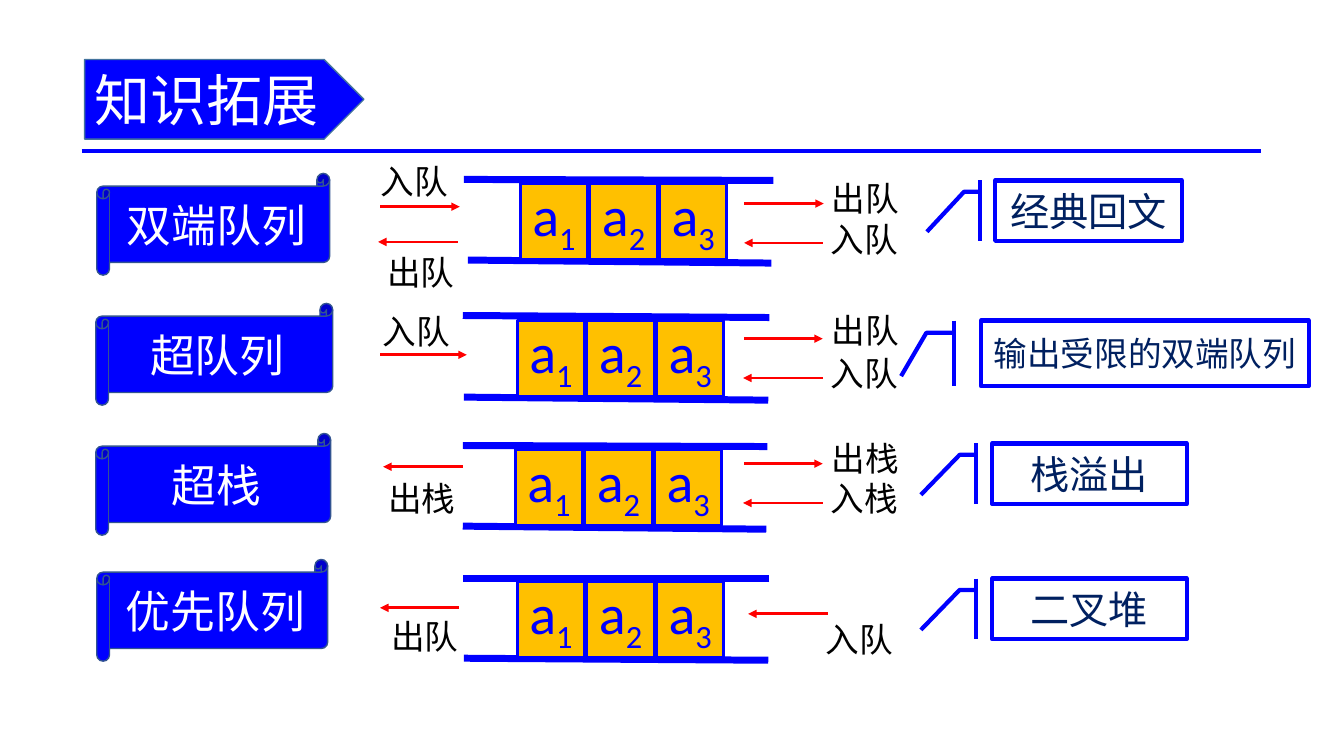
from pptx import Presentation
from pptx import util as u
from pptx.dml.color import RGBColor
from pptx.enum import shapes, text
from pptx.oxml.ns import qn
from lxml import etree

PX = 9144
BLUE = RGBColor(0x00, 0x00, 0xFF)
NAVY = RGBColor(0x00, 0x20, 0x60)
TITLE_EDGE = RGBColor(0x43, 0x73, 0x9E)
SCROLL_EDGE = RGBColor(0x32, 0x54, 0x91)
AMBER = RGBColor(0xFF, 0xC0, 0x00)
RED = RGBColor(0xFF, 0x00, 0x00)
BLACK = RGBColor(0x00, 0x00, 0x00)
WHITE = RGBColor(0xFF, 0xFF, 0xFF)
CJK = "Noto Sans CJK SC"
LATIN = "Calibri"

TITLE = "知识拓展"
CELLS = ["1", "2", "3"]
CELL_WIDTH, CELL_HEIGHT, CELL_STEP = 67, 75, 69
LABEL_WIDTH, LABEL_HEIGHT = 119, 50

# Arrows run from the first x to the second x at height y.
ROWS = [
    {
        "name": "双端队列", "scroll": (96, 172, 231, 101),
        "bars": [(767, 179, 460, 178), (765, 261, 464, 258)], "cells": (516, 182),
        "arrows": [(377, 456, 205), (454, 375, 240), (738, 817, 202), (816, 738, 241)],
        "labels": [("入队", 368, 155), ("出队", 374, 245), ("出队", 815, 172), ("入队", 814, 212)],
        "note": "经典回文", "callout": (987, 179, 185, 60), "note_size": 28, "reach": -0.366,
    },
    {
        "name": "超队列", "scroll": (95, 301, 235, 101),
        "bars": [(763, 315, 459, 313), (762, 397, 460, 394)], "cells": (513, 318),
        "arrows": [(377, 463, 352), (738, 816, 336), (816, 737, 375)],
        "labels": [("入队", 370, 304), ("出队", 815, 303), ("入队", 814, 345)],
        "note": "输出受限的双端队列", "callout": (973, 318, 325, 65), "note_size": 24, "reach": -0.244,
    },
    {
        "name": "超栈", "scroll": (95, 430, 233, 101),
        "bars": [(761, 443, 459, 442), (760, 525, 459, 522)], "cells": (511, 446),
        "arrows": [(459, 380, 463), (738, 816, 460), (816, 737, 499)],
        "labels": [("出栈", 375, 469), ("出栈", 815, 430), ("入栈", 814, 469)],
        "note": "栈溢出", "callout": (984, 440, 193, 60), "note_size": 28, "reach": -0.366,
    },
    {
        "name": "优先队列", "scroll": (96, 555, 229, 101),
        "bars": [(763, 574, 459, 574), (762, 655, 460, 653)], "cells": (513, 577),
        "arrows": [(455, 377, 603), (821, 742, 609)],
        "labels": [("出队", 378, 606), ("入队", 809, 609)],
        "note": "二叉堆", "callout": (984, 574, 193, 60), "note_size": 28, "reach": -0.366,
    },
]


def scaled(*lengths):
    return [length * PX for length in lengths]


def write(shape, words, size, color, font=CJK, align=text.PP_ALIGN.CENTER, wrap=True, subscript=""):
    shape.text_frame.word_wrap = wrap
    paragraph = shape.text_frame.paragraphs[0]
    paragraph.alignment = align
    for part in filter(None, (words, subscript)):
        run = paragraph.add_run()
        run.text = part
        run.font.size = u.Pt(size)
        run.font.color.rgb = color
        run.font.name = font
        properties = run.font._element
        etree.SubElement(properties, qn("a:ea")).set("typeface", font)
        if part == subscript:
            properties.set("baseline", "-25000")


def add_box(parent, kind, place, fill, edge, width):
    shape = parent.add_shape(kind, *scaled(*place))
    shape.shadow.inherit = False
    shape.fill.solid()
    shape.fill.fore_color.rgb = fill
    shape.line.color.rgb = edge
    shape.line.width = u.Pt(width)
    shape.text_frame.vertical_anchor = text.MSO_ANCHOR.MIDDLE
    return shape


def add_line(parent, ends, color, width, arrow=False):
    line = parent.add_connector(shapes.MSO_CONNECTOR.STRAIGHT, *scaled(*ends))
    line.line.color.rgb = color
    line.line.width = u.Pt(width)
    if arrow:
        etree.SubElement(line.line._get_or_add_ln(), qn("a:tailEnd")).set("type", "triangle")
    etree.SubElement(line._element.spPr, qn("a:effectLst"))


def add_queue(slide, bars, left, top):
    group = slide.shapes.add_group_shape().shapes
    for bar in bars:
        add_line(group, bar, BLUE, 5)
    for index, subscript in enumerate(CELLS):
        place = (left + index * CELL_STEP, top, CELL_WIDTH, CELL_HEIGHT)
        cell = add_box(group, shapes.MSO_SHAPE.RECTANGLE, place, AMBER, BLUE, 2)
        frame = cell.text_frame
        frame.margin_left, frame.margin_top, frame.margin_right, frame.margin_bottom = scaled(10, 0, 10, 5)
        write(cell, "a", 40, BLUE, font=LATIN, wrap=False, subscript=subscript)


def add_row(slide, row):
    scroll = add_box(slide.shapes, shapes.MSO_SHAPE.HORIZONTAL_SCROLL, row["scroll"], BLUE, SCROLL_EDGE, 1)
    write(scroll, row["name"], 32, WHITE)
    add_queue(slide, row["bars"], *row["cells"])
    for start, end, y in row["arrows"]:
        add_line(slide.shapes, (start, y, end, y), RED, 2, arrow=True)
    for words, left, top in row["labels"]:
        label = slide.shapes.add_textbox(*scaled(left, top, LABEL_WIDTH, LABEL_HEIGHT))
        write(label, words, 24, BLACK, align=text.PP_ALIGN.LEFT)
    kind = shapes.MSO_SHAPE.LINE_CALLOUT_2_BORDER_AND_ACCENT_BAR
    callout = add_box(slide.shapes, kind, row["callout"], WHITE, BLUE, 3)
    for index, value in enumerate((0.188, -0.083, 0.188, -0.167, 0.849, row["reach"])):
        callout.adjustments[index] = value
    write(callout, row["note"], row["note_size"], NAVY)


def main():
    presentation = Presentation()
    presentation.slide_width, presentation.slide_height = scaled(1333, 750)
    slide = presentation.slides.add_slide(presentation.slide_layouts[6])
    add_line(slide.shapes, (81, 150, 1251, 150), BLUE, 3)
    title = add_box(slide.shapes, shapes.MSO_SHAPE.PENTAGON, (84, 59, 277, 79), BLUE, TITLE_EDGE, 1)
    write(title, TITLE, 40, WHITE, align=text.PP_ALIGN.LEFT)
    for row in ROWS:
        add_row(slide, row)
    presentation.save("out.pptx")


if __name__ == "__main__":
    main()
